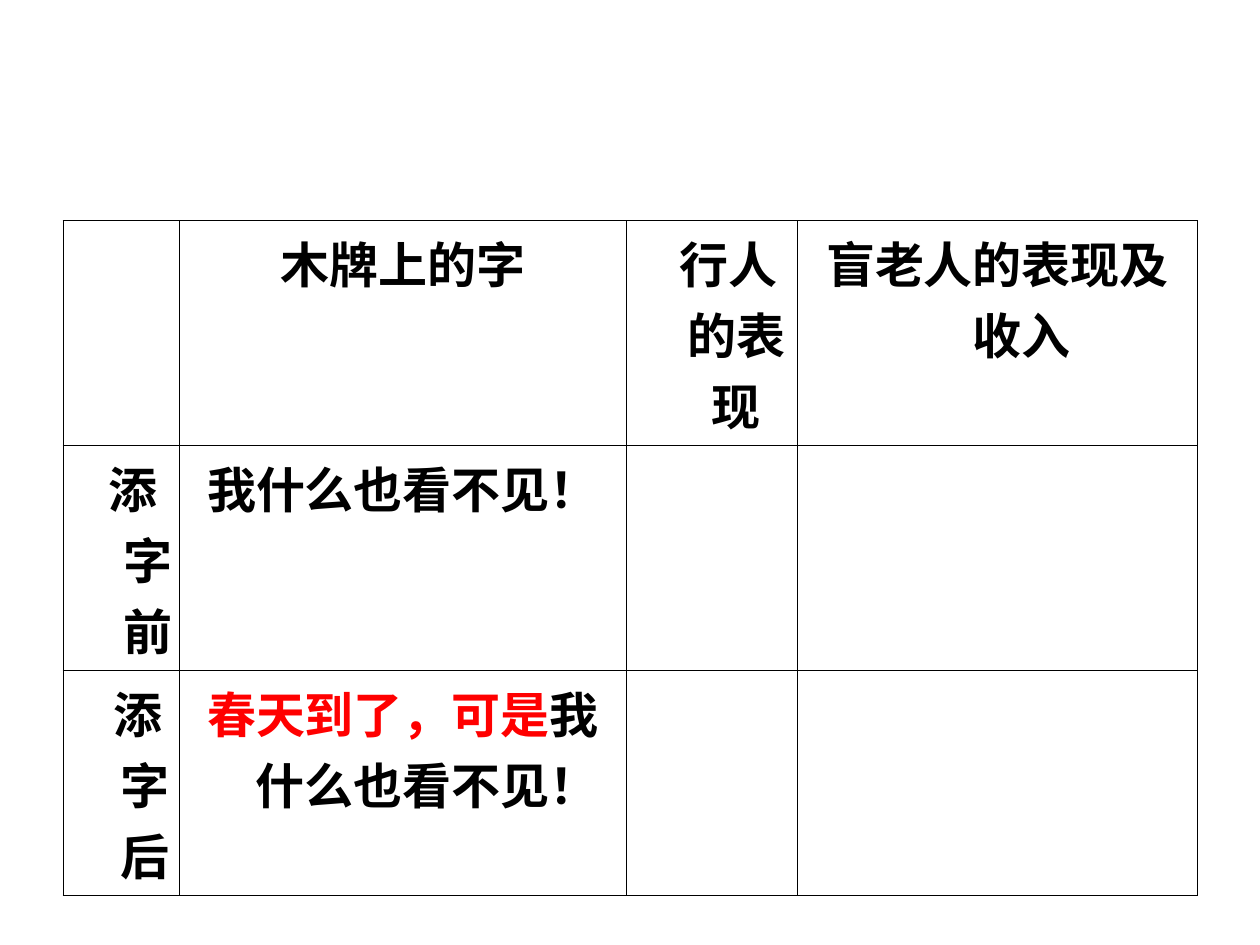
from lxml import etree
from pptx import Presentation
from pptx import util as u
from pptx.dml.color import RGBColor
from pptx.enum import text
from pptx.oxml.ns import qn

BLACK, RED = "000000", "FF0000"
CENTER, LEFT = text.PP_ALIGN.CENTER, text.PP_ALIGN.LEFT


def color(hex_value):
    return RGBColor.from_string(hex_value)


def add_borders(cell, hex_value, width):
    properties = cell._tc.get_or_add_tcPr()
    for position, side in enumerate(("lnL", "lnR", "lnT", "lnB")):
        line = etree.Element(qn(f"a:{side}"), w=str(int(width)))
        fill = etree.SubElement(line, qn("a:solidFill"))
        etree.SubElement(fill, qn("a:srgbClr"), val=hex_value)
        properties.insert(position, line)


prs = Presentation()
prs.slide_width, prs.slide_height = u.Cm(25.4), u.Cm(19.05)
slide = prs.slides.add_slide(prs.slide_layouts[6])

# Comparison table: before and after the words were added
column_widths = [2.34, 9.02, 3.45, 8.05]
row_height = 4.19
comparison = slide.shapes.add_table(
    3, 4, u.Cm(1.27), u.Cm(4.45), u.Cm(sum(column_widths)), u.Cm(3 * row_height)
).table
for flag in ("first_row", "horz_banding"):
    setattr(comparison, flag, False)
for column, width in zip(comparison.columns, column_widths):
    column.width = u.Cm(width)
for row in comparison.rows:
    row.height = u.Cm(row_height)
for cell in comparison.iter_cells():
    cell.fill.background()
    add_borders(cell, BLACK, u.Pt(0.45))

# Cell wording: row, column, alignment, first-line indent in cm, coloured runs
hanging, narrow = -0.97, -0.3
entries = [
    (0, 1, CENTER, hanging, [("木牌上的字", BLACK)]),
    (0, 2, CENTER, narrow, [("行人的表现", BLACK)]),
    (0, 3, CENTER, hanging, [("盲老人的表现及收入", BLACK)]),
    (1, 0, LEFT, narrow, [("添字前", BLACK)]),
    (1, 1, CENTER, hanging, [("我什么也看不见！", BLACK)]),
    (2, 0, CENTER, narrow, [("添字后", BLACK)]),
    (2, 1, CENTER, hanging, [("春天到了，可是", RED), ("我什么也看不见！", BLACK)]),
]
font_format = {"name": "Times New Roman", "size": u.Pt(28), "bold": True}
for row, column, alignment, indent, pieces in entries:
    paragraph = comparison.cell(row, column).text_frame.paragraphs[0]
    paragraph.alignment = alignment
    margins = paragraph._p.get_or_add_pPr()
    margins.set("marL", str(int(u.Cm(0.97))))
    margins.set("indent", str(int(u.Cm(indent))))
    for wording, hex_value in pieces:
        run = paragraph.add_run()
        run.text = wording
        for attribute, value in font_format.items():
            setattr(run.font, attribute, value)
        run.font.color.rgb = color(hex_value)

prs.save("out.pptx")
